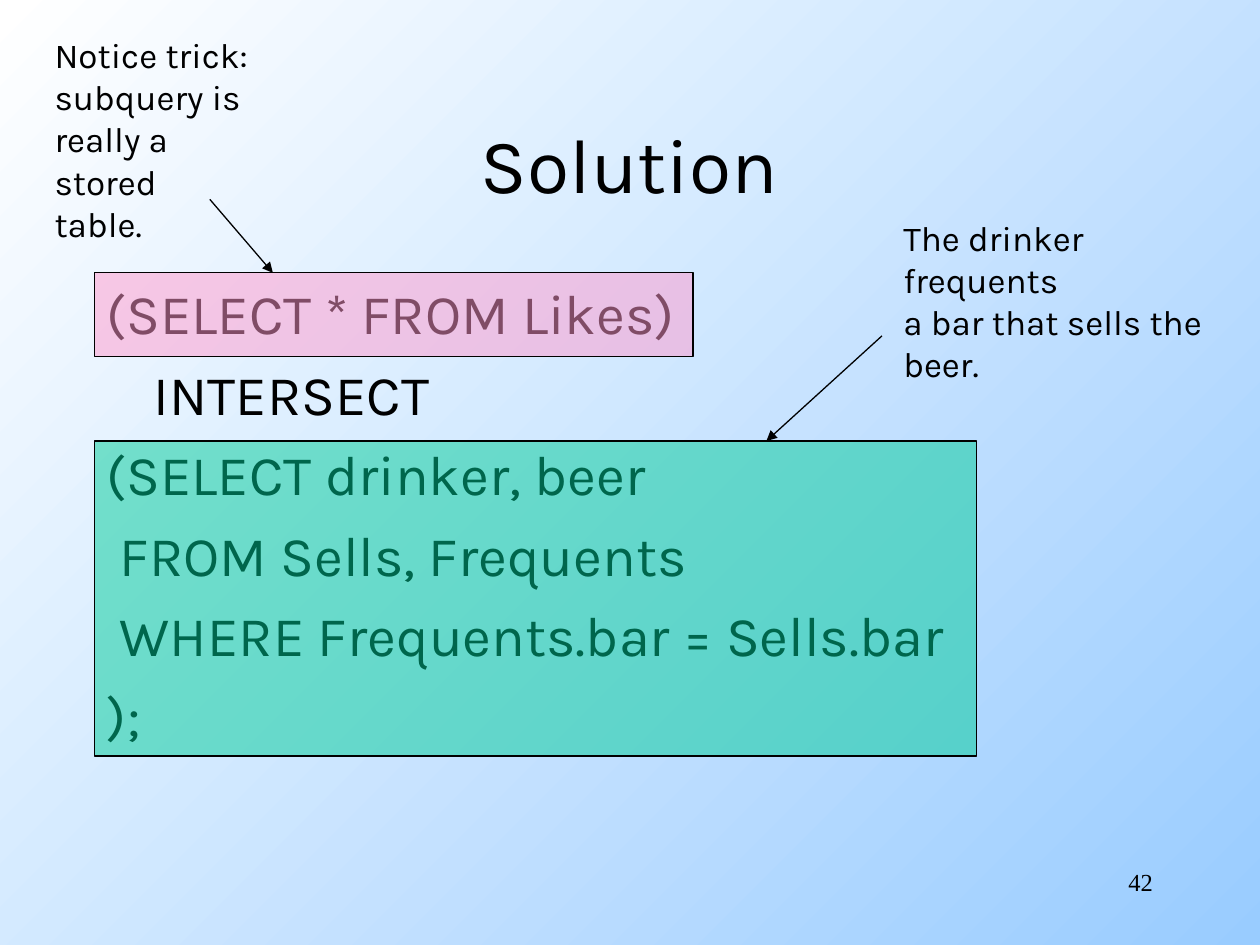
from lxml import etree
from pptx import Presentation
from pptx import util as u
from pptx.dml.color import RGBColor
from pptx.enum import shapes, text
from pptx.oxml.ns import qn

INK = "000000"
FONT = "Karla"


def paint(color, code):
    color.rgb = RGBColor.from_string(code)


def add_run(para, words, size, font=FONT):
    run = para.add_run()
    run.text = words
    run.font.size = u.Pt(size)
    run.font.name = font
    paint(run.font.color, INK)


def add_text(slide, box, lines, size, font=FONT, align=text.PP_ALIGN.LEFT,
             anchor=text.MSO_ANCHOR.TOP):
    frame = slide.shapes.add_textbox(*map(u.Cm, box)).text_frame
    frame.word_wrap = True
    frame.vertical_anchor = anchor
    for i, words in enumerate(lines):
        para = frame.paragraphs[0] if i == 0 else frame.add_paragraph()
        para.alignment = align
        add_run(para, words, size, font)
    return frame


def add_code(slide, box, lines):
    # Query lines with a hanging indent
    frame = add_text(slide, box, lines, 32)
    for para in frame.paragraphs:
        para.space_before = u.Pt(7.5)
        props = para._p.get_or_add_pPr()
        props.set("marL", str(u.Cm(0.95)))
        props.set("indent", str(u.Cm(-0.95)))


def add_mark(slide, box, code):
    # Half-clear box laid over part of the query
    rect = slide.shapes.add_shape(shapes.MSO_SHAPE.RECTANGLE, *map(u.Cm, box))
    rect.shadow.inherit = False
    rect.fill.solid()
    paint(rect.fill.fore_color, code)
    tint = rect._element.spPr.find(qn("a:solidFill"))[0]
    etree.SubElement(tint, qn("a:alpha"), val="50000")
    paint(rect.line.color, INK)
    rect.line.width = u.Pt(0.75)


def add_arrow(slide, start, end):
    line = slide.shapes.add_connector(
        shapes.MSO_CONNECTOR.STRAIGHT, *map(u.Cm, start + end))
    paint(line.line.color, INK)
    line.line.width = u.Pt(0.75)
    etree.SubElement(line.line._get_or_add_ln(), qn("a:tailEnd"), type="triangle")
    etree.SubElement(line._element.spPr, qn("a:effectLst"))


def add_note(slide, mark, code, note, lines, start, tip):
    # Marked box, its note, and an arrow from note to the top of the box;
    # start and tip are offsets from the box's top left corner
    left, top = mark[:2]
    add_mark(slide, mark, code)
    add_text(slide, note, lines, 20)
    add_arrow(slide, (left + start[0], top + start[1]), (left + tip, top))


def add_back(slide):
    fill = slide.background.fill
    fill.gradient()
    fill.gradient_angle = 315
    for stop, code in zip(fill.gradient_stops, ("FFFFFF", "99CCFF")):
        paint(stop.color, code)


def main():
    deck = Presentation()
    deck.slide_width, deck.slide_height = u.Cm(25.4), u.Cm(19.05)
    slide = deck.slides.add_slide(deck.slide_layouts[6])
    add_back(slide)

    # Page number and title
    add_text(slide, (18.2, 17.36, 5.29, 1.27), ["42"], 14,
             "Times New Roman", text.PP_ALIGN.RIGHT)
    add_text(slide, (1.9, 1.69, 21.59, 3.18), ["Solution"], 44,
             align=text.PP_ALIGN.CENTER, anchor=text.MSO_ANCHOR.MIDDLE)

    # Query
    add_code(slide, (1.9, 5.5, 21.59, 11.43), [
        "(SELECT * FROM Likes)",
        "\tINTERSECT",
        "(SELECT drinker, beer",
        " FROM Sells, Frequents",
        " WHERE Frequents.bar = Sells.bar",
        ");",
    ])

    # Notes on the two subqueries
    add_note(slide, (1.9, 8.89, 17.78, 6.35), "00CC99",
             (17.96, 4.24, 7.24, 2.8),
             ["The drinker frequents", "a bar that sells the", "beer."],
             (15.88, -2.12), 13.55)
    add_note(slide, (1.9, 5.5, 12.07, 1.69), "FF99CC",
             (0.85, 0.56, 4.95, 3.63),
             ["Notice trick:", "subquery is", "really a stored", "table."],
             (2.33, -1.48), 3.6)

    deck.save("out.pptx")


if __name__ == "__main__":
    main()
